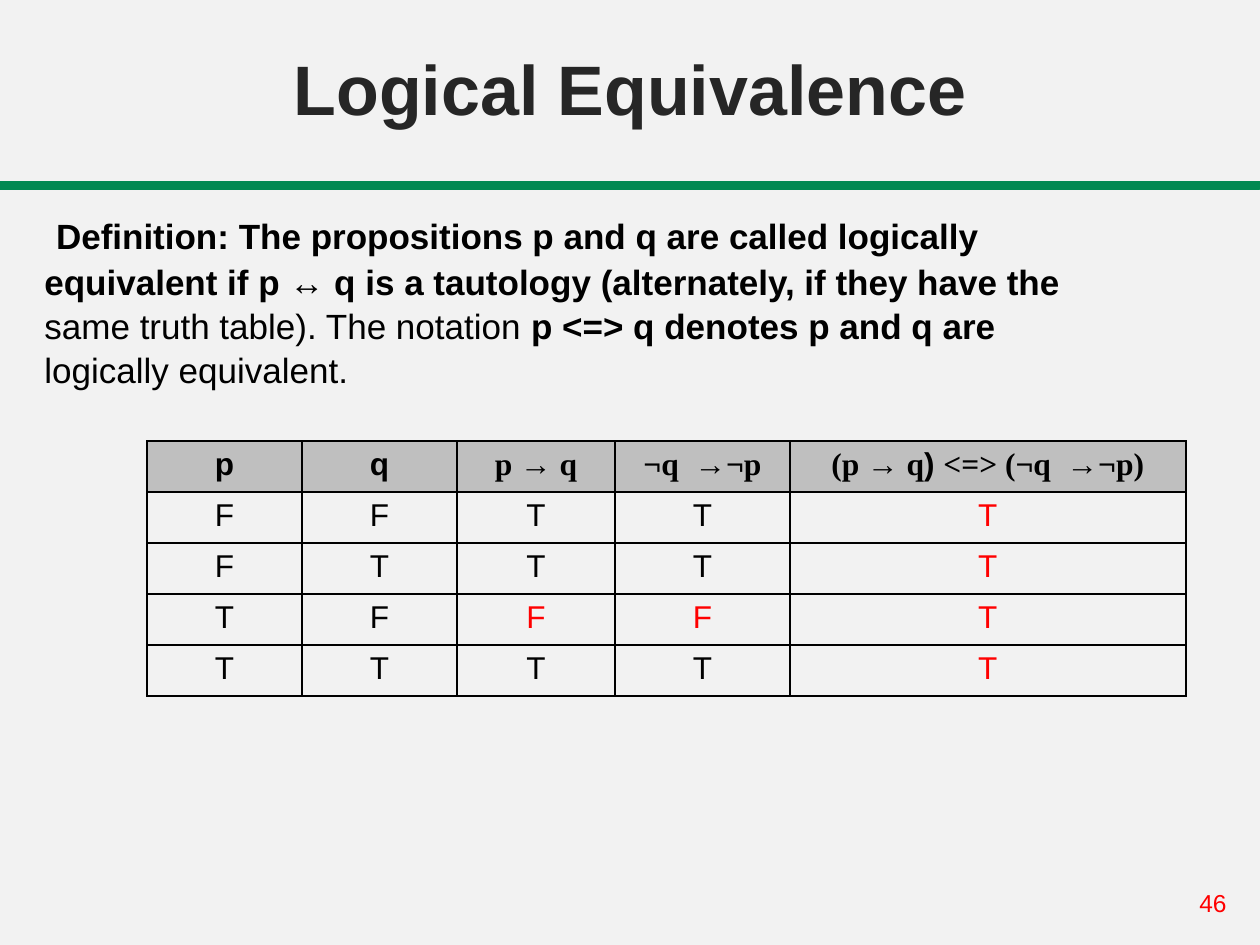
from dataclasses import dataclass

from lxml import etree
from pptx import Presentation
from pptx import util as u
from pptx.dml.color import RGBColor
from pptx.enum import shapes, text
from pptx.oxml.ns import qn

EMU_PER_PX = 914400 / 126


@dataclass(frozen=True)
class Theme:
    sans: str = "Arial"
    serif: str = "Times New Roman"
    background: str = "F2F2F2"
    ink: str = "000000"
    heading: str = "262626"
    accent: str = "FF0000"
    band: str = "018952"
    header_fill: str = "BFBFBF"
    title_size: int = 40
    lead_size: int = 24
    body_size: int = 20
    table_size: int = 18
    number_size: int = 14


THEME = Theme()

# Each line is a list of (text, bold, size).
DEFINITION = [
    [(" ", False, THEME.lead_size),
     ("Definition: The propositions p and q are called logically", True, THEME.body_size)],
    [("equivalent if p ↔ q is a tautology (alternately, if they have the",
      True, THEME.body_size)],
    [("same truth table). The notation ", False, THEME.body_size),
     ("p <=> q denotes p and q are", True, THEME.body_size)],
    [("logically equivalent.", False, THEME.body_size)],
]

HEADERS = [
    [("p", THEME.sans)],
    [("q", THEME.sans)],
    [("p → q", THEME.serif)],
    [("¬q  →¬p", THEME.serif)],
    [("(p → q", THEME.serif), (") ", THEME.sans), ("<=> (¬q  →¬p)", THEME.serif)],
]
TRUTH_ROWS = ["FFTTT", "FTTTT", "TFFFT", "TTTTT"]
COLUMN_WIDTHS = [155, 155, 158, 175, 396]
ROW_HEIGHT = 51


def px(length):
    return u.Emu(round(length * EMU_PER_PX))


def color(value):
    return RGBColor.from_string(value)


def add_span(para, words, size, ink=THEME.ink, bold=False, font=THEME.sans):
    span = para.add_run()
    span.text = words
    span.font.name = font
    span.font.size = u.Pt(size)
    span.font.bold = bold
    span.font.color.rgb = color(ink)


def place(shape, left, top, width, height):
    shape.left, shape.top = px(left), px(top)
    shape.width, shape.height = px(width), px(height)


def set_title(page, words):
    title = page.shapes.title
    place(title, 0, 0, 1260, 136)
    frame = title.text_frame
    frame.vertical_anchor = text.MSO_ANCHOR.BOTTOM
    para = frame.paragraphs[0]
    para.alignment = text.PP_ALIGN.CENTER
    add_span(para, words, THEME.title_size, THEME.heading, bold=True)


def add_band(page):
    band = page.shapes.add_shape(
        shapes.MSO_SHAPE.RECTANGLE, px(0), px(183), px(1260), px(6))
    band.shadow.inherit = False
    band.fill.solid()
    band.fill.fore_color.rgb = color(THEME.band)
    band.line.color.rgb = color(THEME.band)
    band.line.width = u.Pt(1.75)


def add_text_box(page, left, top, width, height):
    box = page.shapes.add_textbox(px(left), px(top), px(width), px(height))
    box.text_frame.word_wrap = True
    return box.text_frame


def add_definition(page):
    frame = add_text_box(page, 32, 199, 1207, 190)
    for index, line in enumerate(DEFINITION):
        para = frame.add_paragraph() if index else frame.paragraphs[0]
        para.line_spacing = 1.05
        for words, bold, size in line:
            add_span(para, words, size, bold=bold)


def add_page_number(page, number):
    frame = add_text_box(page, 1187, 882, 73, 43)
    add_span(frame.paragraphs[0], number, THEME.number_size, THEME.accent)


def set_borders(cell):
    """Draw a thin line on all four sides; must run before the fill is set."""
    properties = cell._tc.get_or_add_tcPr()
    for side in ("a:lnL", "a:lnR", "a:lnT", "a:lnB"):
        line = etree.SubElement(properties, qn(side), w=str(u.Pt(1)))
        fill = etree.SubElement(line, qn("a:solidFill"))
        etree.SubElement(fill, qn("a:srgbClr"), val=THEME.ink)


def format_cell(cell, fill=None):
    """Set borders and fill, and return the centred paragraph."""
    set_borders(cell)
    if fill:
        cell.fill.solid()
        cell.fill.fore_color.rgb = color(fill)
    else:
        cell.fill.background()
    para = cell.text_frame.paragraphs[0]
    para.alignment = text.PP_ALIGN.CENTER
    return para


def truth_ink(row, column):
    """Mark the final result, and each implication that is false."""
    last = column == len(row) - 1
    false_implication = column >= 2 and row[column] == "F"
    return THEME.accent if last or false_implication else THEME.ink


def add_truth_table(page):
    row_count = len(TRUTH_ROWS) + 1
    table = page.shapes.add_table(
        row_count, len(HEADERS), px(147), px(441),
        px(sum(COLUMN_WIDTHS)), px(ROW_HEIGHT * row_count)).table
    table.horz_banding = False
    for column, width in zip(table.columns, COLUMN_WIDTHS):
        column.width = px(width)
    for row in table.rows:
        row.height = px(ROW_HEIGHT)
    for column, spans in enumerate(HEADERS):
        para = format_cell(table.cell(0, column), THEME.header_fill)
        for words, font in spans:
            add_span(para, words, THEME.table_size, bold=True, font=font)
    for index, row in enumerate(TRUTH_ROWS, start=1):
        for column, value in enumerate(row):
            para = format_cell(table.cell(index, column))
            add_span(para, value, THEME.table_size, truth_ink(row, column))


def main():
    deck = Presentation()
    deck.slide_width, deck.slide_height = px(1260), px(945)
    page = deck.slides.add_slide(deck.slide_layouts.get_by_name("Title Only"))
    page.background.fill.solid()
    page.background.fill.fore_color.rgb = color(THEME.background)
    add_band(page)
    add_page_number(page, "46")
    set_title(page, "Logical Equivalence")
    add_definition(page)
    add_truth_table(page)
    deck.save("out.pptx")


if __name__ == "__main__":
    main()
